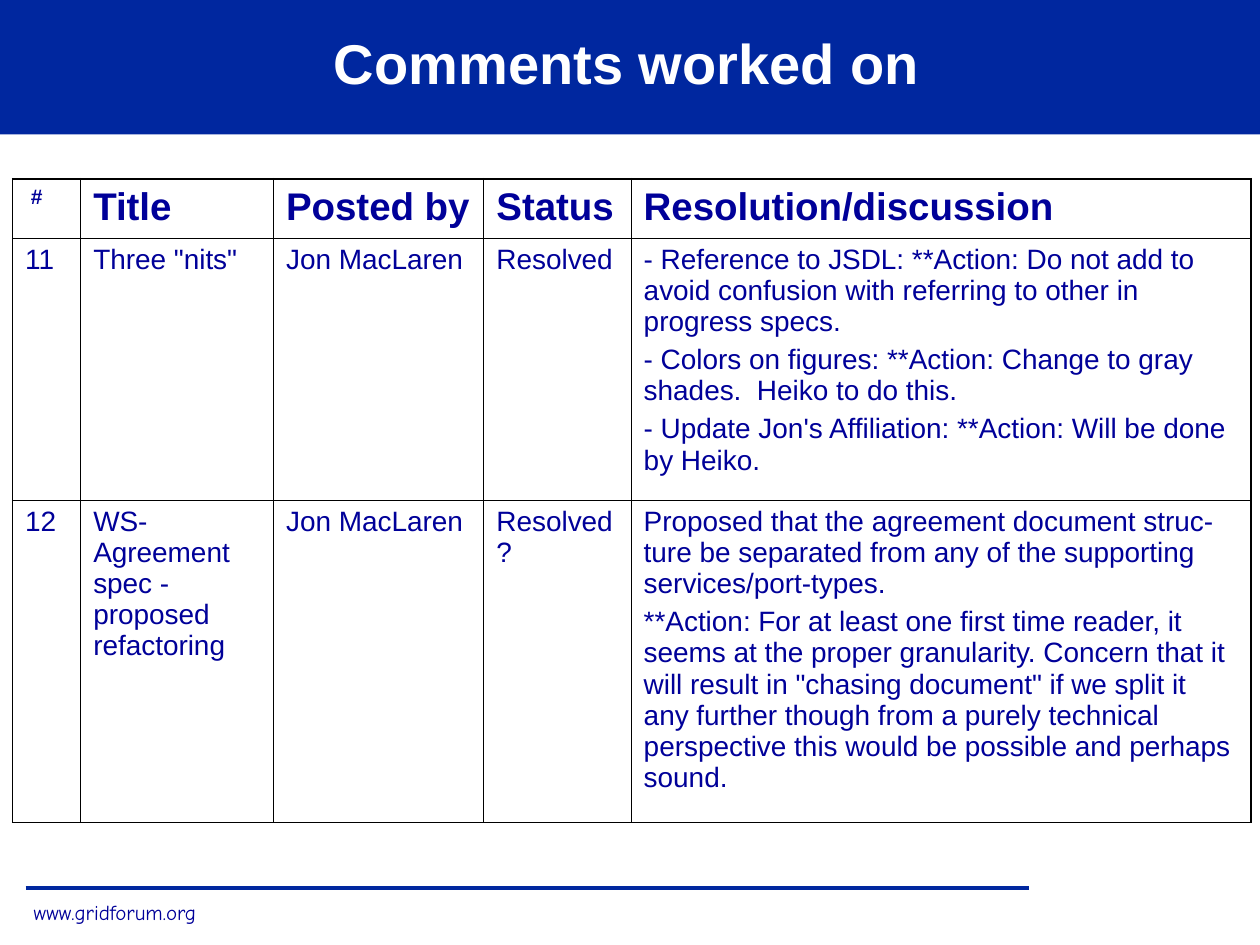
from dataclasses import dataclass

from lxml.etree import SubElement
from pptx import Presentation
from pptx.dml.color import RGBColor
from pptx.enum.shapes import MSO_CONNECTOR, MSO_SHAPE
from pptx.enum.text import MSO_ANCHOR, MSO_AUTO_SIZE, PP_ALIGN
from pptx.oxml.ns import qn
from pptx.slide import Slide
from pptx.util import Pt

BAND_BLUE = RGBColor(0x00, 0x27, 0x9F)
TEXT_BLUE = RGBColor(0x00, 0x00, 0x99)
WHITE = RGBColor(0xFF, 0xFF, 0xFF)
BLACK = RGBColor(0x00, 0x00, 0x00)

COLUMN_WIDTHS = [38.9, 110.2, 120.2, 84.2, 354.2]
ROW_HEIGHTS = [33.8, 149.8, 184.3]
HEADINGS = [" #", "Title", "Posted by", "Status", "Resolution/discussion"]
COMMENTS = [
    ["11", "Three \"nits\"", "Jon MacLaren", "Resolved",
     "- Reference to JSDL: **Action: Do not add to avoid confusion with "
     "referring to other in progress specs.\n"
     "- Colors on figures: **Action: Change to gray shades.  Heiko to do this.\n"
     "- Update Jon's Affiliation: **Action: Will be done by Heiko."],
    ["12", "WS-Agreement spec - proposed refactoring", "Jon MacLaren", "Resolved?",
     "Proposed that the agreement document struc-ture be separated from any of "
     "the supporting services/port-types.\n"
     "**Action: For at least one first time reader, it seems at the proper "
     "granularity. Concern that it will result in \"chasing document\" if we "
     "split it any further though from a purely technical perspective this "
     "would be possible and perhaps sound."],
]


@dataclass
class SlideBuilder:
    slide: Slide
    font: str = "Arial"
    footer_font: str = "Comic Neue"
    heading_size: float = 22
    body_size: float = 16
    small_size: float = 12
    inner_border: float = 0.45
    outer_border: float = 1.08

    def add_run(self, paragraph, text, size, color, bold=False, font=None):
        run = paragraph.add_run()
        run.text = text
        run.font.name = font or self.font
        run.font.size = Pt(size)
        run.font.bold = bold
        run.font.color.rgb = color

    def add_band(self, left, top, width, height):
        band = self.slide.shapes.add_shape(
            MSO_SHAPE.RECTANGLE, Pt(left), Pt(top), Pt(width), Pt(height))
        band.shadow.inherit = False
        band.fill.solid()
        band.fill.fore_color.rgb = BAND_BLUE
        band.line.fill.background()
        self.slide.shapes._spTree.insert(2, band._element)

    def set_title(self, text, left, top, width, height):
        title = self.slide.shapes.title
        title.left, title.top = Pt(left), Pt(top)
        title.width, title.height = Pt(width), Pt(height)
        title.fill.solid()
        title.fill.fore_color.rgb = BAND_BLUE
        frame = title.text_frame
        frame.auto_size = MSO_AUTO_SIZE.NONE
        frame.vertical_anchor = MSO_ANCHOR.MIDDLE
        paragraph = frame.paragraphs[0]
        paragraph.alignment = PP_ALIGN.CENTER
        self.add_run(paragraph, text, 32, WHITE, bold=True)

    def add_rule(self, left, right, top):
        rule = self.slide.shapes.add_connector(
            MSO_CONNECTOR.STRAIGHT, Pt(left), Pt(top), Pt(right), Pt(top))
        rule.line.color.rgb = BAND_BLUE
        rule.line.width = Pt(2)
        SubElement(rule._element.spPr, qn("a:effectLst"))

    def add_footer(self, text, left, top, width, height):
        footer = self.slide.shapes.add_textbox(Pt(left), Pt(top), Pt(width), Pt(height))
        footer.text_frame.word_wrap = False
        footer.text_frame.auto_size = MSO_AUTO_SIZE.SHAPE_TO_FIT_TEXT
        self.add_run(footer.text_frame.paragraphs[0], text, self.small_size,
                     TEXT_BLUE, font=self.footer_font)

    def set_borders(self, cell, outer_sides):
        properties = cell._tc.get_or_add_tcPr()
        for side in ("L", "R", "T", "B"):
            width = self.outer_border if side in outer_sides else self.inner_border
            border = SubElement(properties, qn(f"a:ln{side}"), w=str(Pt(width)))
            fill = SubElement(border, qn("a:solidFill"))
            SubElement(fill, qn("a:srgbClr"), val=str(BLACK))

    def fill_cell(self, cell, text, size, bold):
        cell.fill.solid()
        cell.fill.fore_color.rgb = WHITE
        frame = cell.text_frame
        for index, line in enumerate(text.split("\n")):
            paragraph = frame.add_paragraph() if index else frame.paragraphs[0]
            if index:
                paragraph.space_before = Pt(size / 4)
            self.add_run(paragraph, line, size, TEXT_BLUE, bold)

    def add_table(self, rows, left, top):
        table = self.slide.shapes.add_table(
            len(rows), len(COLUMN_WIDTHS), Pt(left), Pt(top),
            Pt(sum(COLUMN_WIDTHS)), Pt(sum(ROW_HEIGHTS))).table
        table.first_row = table.horz_banding = False
        for column, width in zip(table.columns, COLUMN_WIDTHS):
            column.width = Pt(width)
        for row, height in zip(table.rows, ROW_HEIGHTS):
            row.height = Pt(height)
        last_row, last_column = len(rows) - 1, len(COLUMN_WIDTHS) - 1
        for row_index, texts in enumerate(rows):
            for column_index, text in enumerate(texts):
                outer_edges = {"L": column_index == 0, "R": column_index == last_column,
                               "T": row_index == 0, "B": row_index == last_row}
                is_heading = row_index == 0
                size = self.heading_size if is_heading else self.body_size
                if is_heading and column_index == 0:
                    size = self.small_size
                cell = table.cell(row_index, column_index)
                self.set_borders(cell, [side for side, outer in outer_edges.items() if outer])
                self.fill_cell(cell, text, size, is_heading)


def main():
    presentation = Presentation()
    presentation.slide_width, presentation.slide_height = Pt(720), Pt(540)
    builder = SlideBuilder(presentation.slides.add_slide(presentation.slide_layouts[5]))
    builder.add_band(0, 0, 720, 76.8)
    builder.set_title("Comments worked on", 0, -1.4, 716.4, 73.4)
    builder.add_rule(14.6, 588, 507.4)
    builder.add_footer("www.gridforum.org", 12.2, 510.5, 107.3, 21.6)
    builder.add_table([HEADINGS, *COMMENTS], 7.2, 102.2)
    presentation.save("out.pptx")


if __name__ == "__main__":
    main()
